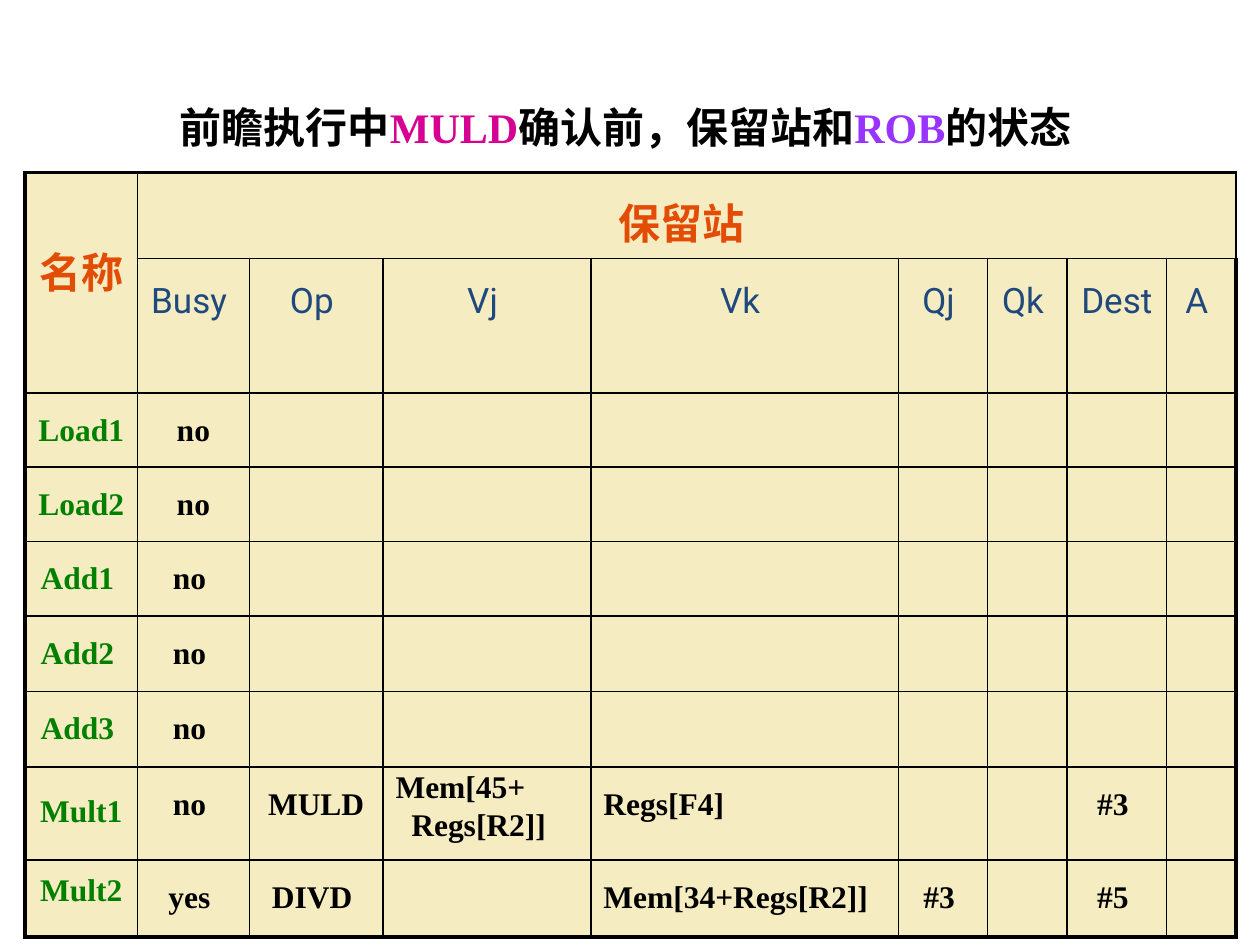
from lxml import etree
from pptx import Presentation
from pptx.dml.color import RGBColor
from pptx.enum import text
from pptx.oxml import ns
from pptx.util import Inches, Pt

COLORS = {"black": "000000", "cream": "F6ECC2", "orange": "E24C05", "navy": "1F497D",
          "green": "008000", "magenta": "D60093", "violet": "9933FF"}
CJK, SANS, SERIF = "Noto Sans CJK SC", "Roboto", "Times New Roman"

COLUMN_WIDTHS = [0.89, 0.89, 1.06, 1.65, 2.44, 0.71, 0.63, 0.79, 0.55]
ROW_HEIGHTS = [0.58, 0.6, 0.59, 0.59, 0.59, 0.6, 0.6, 0.74, 0.61]
HEADINGS = ["Busy ", "Op ", "Vj ", "Vk ", "Qj ", "Qk ", "Dest ", "A "]
STATIONS = [
    ["Load1", "no"],
    ["Load2", "no"],
    ["Add1 ", "no "],
    ["Add2 ", "no "],
    ["Add3 ", "no "],
    ["Mult1 ", "no ", "MULD", "Mem[45+\nRegs[R2]]", "Regs[F4]", "", "", "#3 "],
    ["Mult2 ", "yes ", "DIVD ", "", "Mem[34+Regs[R2]]", "#3 ", "", "#5 "],
]
NAME_SPACING = {"Mult1 ": 1.6, "Mult2 ": 1.2}
VALUE_COLUMNS = {3: 0.9, 4: 1.4}
TITLE = [("前瞻执行中", CJK, "black"), ("MULD", SERIF, "magenta"),
         ("确认前，保留站和", CJK, "black"), ("ROB", SERIF, "violet"),
         ("的状态", CJK, "black")]


def style_font(font, name, size, color, bold=True):
    """Set the typeface for Latin and East Asian letters, with size, colour and weight."""
    font.name, font.size, font.bold = name, Pt(size), bold
    font.color.rgb = RGBColor.from_string(COLORS[color])
    latin = font._rPr.find(ns.qn("a:latin"))
    east_asian = etree.Element(ns.qn("a:ea"), typeface=name)
    latin.addnext(east_asian)


def space_before(paragraph, percent):
    """Put a gap above the paragraph as a percentage of its line."""
    paragraph.space_before = Pt(0)
    gap = paragraph._p.pPr.find(ns.qn("a:spcBef"))
    gap.remove(gap[0])
    etree.SubElement(gap, ns.qn("a:spcPct"), val=str(percent * 1000))


def write_cell(cell, content, name, size, color, spacing=1.4, bold=True, centered=True):
    """Write the lines of one cell, indenting those after the first."""
    cell.text = content
    for index, paragraph in enumerate(cell.text_frame.paragraphs):
        paragraph.alignment = text.PP_ALIGN.CENTER if centered else text.PP_ALIGN.LEFT
        paragraph.line_spacing = spacing
        space_before(paragraph, 20)
        style_font(paragraph.font, name, size, color, bold)
        if index:
            paragraph._p.pPr.set("marL", str(Inches(0.125)))


def frame_cell(cell, thick_sides):
    """Fill the cell and rule its four sides, thicker on the named ones."""
    properties = cell._tc.get_or_add_tcPr()
    for side in "LRTB":
        width = Pt(2.25 if side in thick_sides else 1)
        line = etree.SubElement(properties, ns.qn(f"a:ln{side}"), w=str(width))
        fill = etree.SubElement(line, ns.qn("a:solidFill"))
        etree.SubElement(fill, ns.qn("a:srgbClr"), val=COLORS["black"])
    cell.fill.solid()
    cell.fill.fore_color.rgb = RGBColor.from_string(COLORS["cream"])


def add_title(slide, left, top, width, height):
    """Add the title line with its two coloured terms."""
    frame = slide.shapes.add_textbox(left, top, width, height).text_frame
    frame.word_wrap = True
    frame.auto_size = text.MSO_AUTO_SIZE.SHAPE_TO_FIT_TEXT
    paragraph = frame.paragraphs[0]
    space_before(paragraph, 50)
    for words, name, color in TITLE:
        run = paragraph.add_run()
        run.text = words
        style_font(run.font, name, 24, color)


def add_station_table(slide, left, top, width, height):
    """Add the table of reservation stations."""
    rows, columns = len(ROW_HEIGHTS), len(COLUMN_WIDTHS)
    table = slide.shapes.add_table(rows, columns, left, top, width, height).table
    table.first_row = table.horz_banding = False
    for column, column_width in zip(table.columns, COLUMN_WIDTHS):
        column.width = Inches(column_width)
    for row, row_height in zip(table.rows, ROW_HEIGHTS):
        row.height = Inches(row_height)
    for r in range(rows):
        for c in range(columns):
            edges = {"L": c == 0, "R": c == columns - 1, "T": r == 0, "B": r == rows - 1}
            frame_cell(table.cell(r, c), [side for side, outer in edges.items() if outer])

    table.cell(0, 0).merge(table.cell(1, 0))
    table.cell(0, 1).merge(table.cell(0, columns - 1))
    write_cell(table.cell(0, 0), "名称 ", CJK, 24, "orange", 2)
    write_cell(table.cell(0, 1), "保留站 ", CJK, 24, "orange", 1.2)
    for c, heading in enumerate(HEADINGS, 1):
        write_cell(table.cell(1, c), heading, SANS, 20, "navy", bold=False)
    for r, (name, *values) in enumerate(STATIONS, 2):
        write_cell(table.cell(r, 0), name, SERIF, 18, "green", NAME_SPACING.get(name, 1.4))
        for c, value in enumerate(values, 1):
            if value:
                write_cell(table.cell(r, c), value, SERIF, 18, "black",
                           VALUE_COLUMNS.get(c, 1.4), centered=c not in VALUE_COLUMNS)


def main():
    """Build the slide and save it."""
    presentation = Presentation()
    presentation.slide_width, presentation.slide_height = Inches(10), Inches(7.5)
    slide = presentation.slides.add_slide(presentation.slide_layouts[6])
    add_station_table(slide, Inches(0.2), Inches(1.37), Inches(9.61), Inches(5.5))
    add_title(slide, Inches(1.33), Inches(0.76), Inches(7.92), Inches(0.5))
    presentation.save("out.pptx")


if __name__ == "__main__":
    main()
